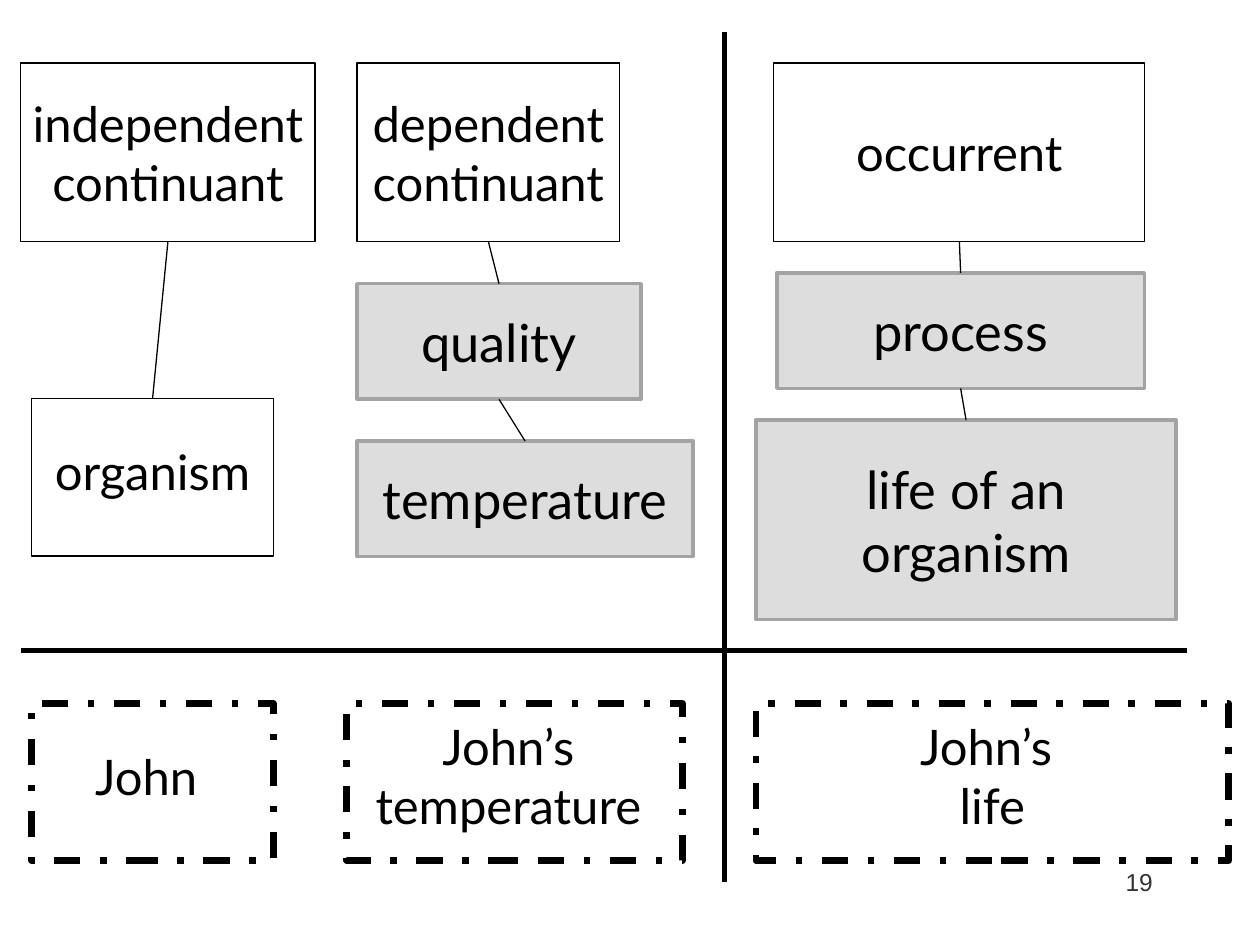
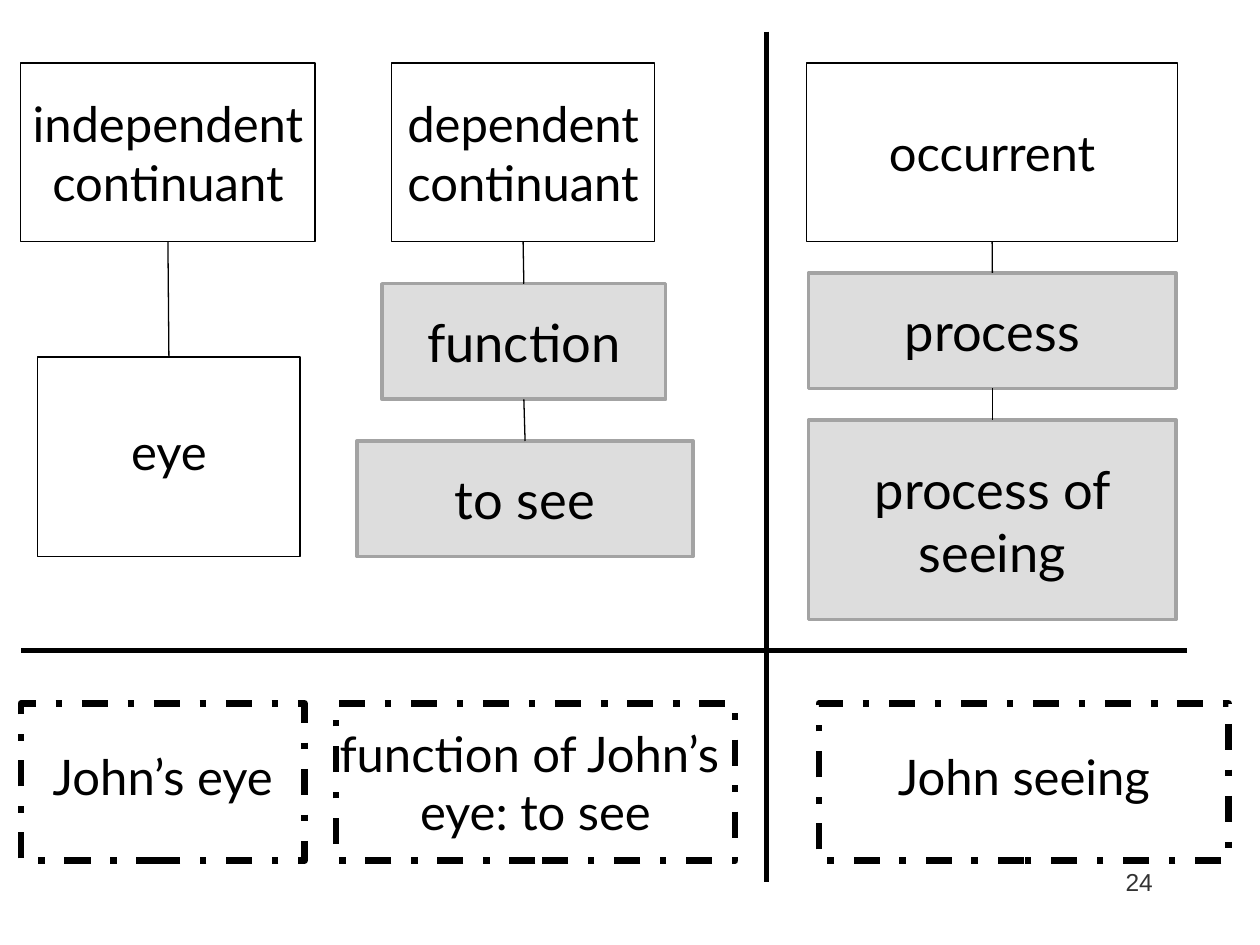
"""Build two slides that sort entities into continuants, occurrents and their instances."""
from dataclasses import dataclass

from lxml.etree import SubElement
from pptx import Presentation
from pptx.dml.color import RGBColor as Color
from pptx.enum.dml import MSO_LINE_DASH_STYLE as Dash
from pptx.enum.shapes import MSO_CONNECTOR as Connector, MSO_SHAPE as Shape
from pptx.enum.text import MSO_ANCHOR as Anchor, PP_ALIGN as Align
from pptx.oxml.ns import qn
from pptx.util import Cm, Pt


@dataclass(frozen=True)
class Theme:
    ink: Color = Color(0x00, 0x00, 0x00)
    number_ink: Color = Color(0x33, 0x33, 0x33)
    grey_fill: Color = Color(0xDD, 0xDD, 0xDD)
    grey_line: Color = Color(0xA3, 0xA3, 0xA3)
    body_font: str = "Lato"
    number_font: str = "Arial"
    plain_size: int = 28
    grey_size: int = 30
    number_size: int = 14
    thin: float = 0.75
    grey_width: float = 2
    divider_width: float = 3
    dash_width: float = 3.75


THEME = Theme()
INSET = 0.13

# row: style, top, height, extra room under the text
ROWS = {
    "head": ("plain", 1.27, 3.6, 0),
    "organism": ("plain", 8.04, 3.17, 0.25),
    "organ": ("plain", 7.2, 4.02, 0.25),
    "dependent": ("grey", 5.72, 2.33, 0),
    "dependent leaf": ("grey", 8.89, 2.33, 0),
    "process": ("grey", 5.5, 2.33, 0),
    "process leaf": ("grey", 8.47, 4.02, 0),
    "instance": ("dashed", 14.18, 3.17, 0.25),
    "full instance": ("dashed", 14.18, 3.17, 0),
}

INDEPENDENT = ("head", 0.42, 5.93, ["independent", "continuant"])
DEPENDENT = ["dependent", "continuant"]

# slide: number, divider position, columns of (row, left, width, lines)
SLIDES = [
    ("19", 14.6, [
        [INDEPENDENT,
         ("organism", 0.64, 4.87, ["organism"]),
         ("instance", 0.64, 4.87, ["John "])],
        [("head", 7.2, 5.29, DEPENDENT),
         ("dependent", 7.2, 5.72, ["quality"]),
         ("dependent leaf", 7.2, 6.77, ["temperature"]),
         ("instance", 6.99, 6.77, ["John’s ", "temperature "])],
        [("head", 15.6, 7.48, ["occurrent"]),
         ("process", 15.66, 7.41, ["process"]),
         ("process leaf", 15.24, 8.47, ["life of an organism"]),
         ("instance", 15.24, 9.53, ["John’s ", "life"])],
    ]),
    ("24", 15.45, [
        [INDEPENDENT,
         ("organ", 0.76, 5.29, ["eye"]),
         ("instance", 0.42, 5.72, ["John’s eye"])],
        [("head", 7.9, 5.29, DEPENDENT),
         ("dependent", 7.7, 5.72, ["function"]),
         ("dependent leaf", 7.2, 6.77, ["to see"]),
         ("full instance", 6.77, 8.05, ["function of John’s ", "eye: to see"])],
        [("head", 16.26, 7.48, ["occurrent"]),
         ("process", 16.3, 7.41, ["process"]),
         ("process leaf", 16.3, 7.41, ["process of seeing"]),
         ("instance", 16.51, 8.26, ["John seeing"])],
    ]),
]


def write(frame, lines, align, font, size, ink):
    for index, line in enumerate(lines):
        para = frame.add_paragraph() if index else frame.paragraphs[0]
        para.alignment = align
        span = para.add_run()
        span.text = line
        span.font.name = font
        span.font.size = Pt(size)
        span.font.color.rgb = ink


def add_box(page, row, left, width, lines):
    style, top, height, room = ROWS[row]
    grey = style == "grey"
    box = page.shapes.add_shape(Shape.RECTANGLE, Cm(left), Cm(top), Cm(width), Cm(height))
    box.shadow.inherit = False
    if grey:
        box.fill.solid()
        box.fill.fore_color.rgb = THEME.grey_fill
    else:
        box.fill.background()
    box.line.color.rgb = THEME.grey_line if grey else THEME.ink
    widths = {"plain": THEME.thin, "grey": THEME.grey_width, "dashed": THEME.dash_width}
    box.line.width = Pt(widths[style])
    if style == "dashed":
        box.line.dash_style = Dash.DASH_DOT
    frame = box.text_frame
    frame.word_wrap = grey
    frame.vertical_anchor = Anchor.MIDDLE
    frame.margin_bottom = Cm(INSET + room)
    size = THEME.grey_size if grey else THEME.plain_size
    write(frame, lines, Align.CENTER, THEME.body_font, size, THEME.ink)
    return box


def add_line(page, start, end, width):
    line = page.shapes.add_connector(Connector.STRAIGHT, *map(Cm, start + end))
    line.line.color.rgb = THEME.ink
    line.line.width = Pt(width)
    SubElement(line._element.spPr, qn("a:effectLst"))
    return line


def add_column(page, column):
    *kinds, _ = boxes = [add_box(page, *entry) for entry in column]
    for parent, child in zip(kinds, kinds[1:]):
        link = add_line(page, (0, 0), (0, 0), THEME.thin)
        link.begin_connect(parent, 2)
        link.end_connect(child, 0)
    return boxes


def add_page(deck, number, divider, columns):
    page = deck.slides.add_slide(deck.slide_layouts[6])
    add_line(page, (23.93, 13.12), (0.42, 13.12), THEME.divider_width)
    add_line(page, (divider, 0.64), (divider, 17.78), THEME.divider_width)
    for column in columns:
        add_column(page, column)
    box = page.shapes.add_textbox(Cm(18.2), Cm(17.36), Cm(5.29), Cm(1.27))
    box.text_frame.word_wrap = True
    write(box.text_frame, [number], Align.RIGHT,
          THEME.number_font, THEME.number_size, THEME.number_ink)


def main():
    deck = Presentation()
    deck.slide_width, deck.slide_height = Cm(25.4), Cm(19.05)
    for slide in SLIDES:
        add_page(deck, *slide)
    deck.save("out.pptx")


if __name__ == "__main__":
    main()
